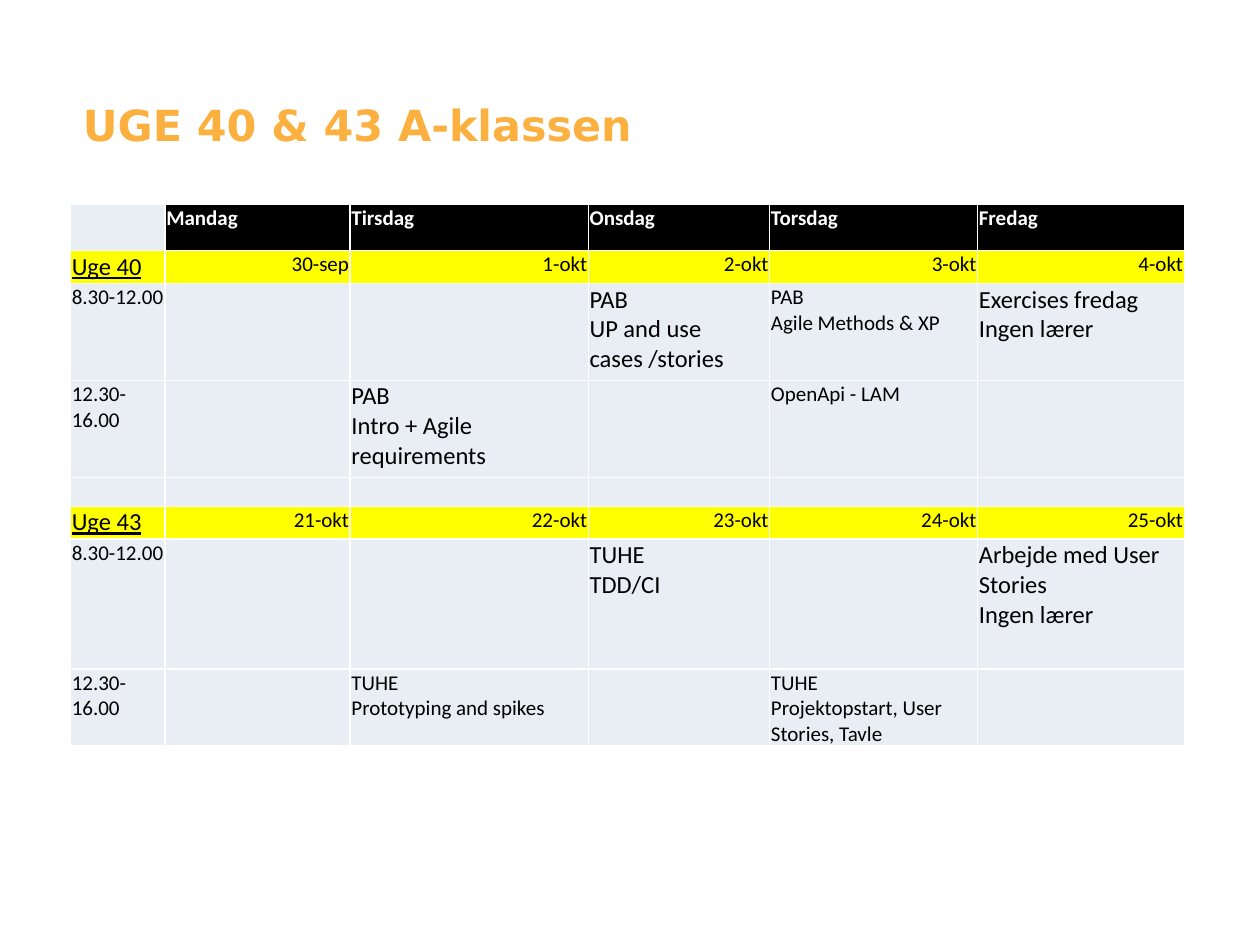
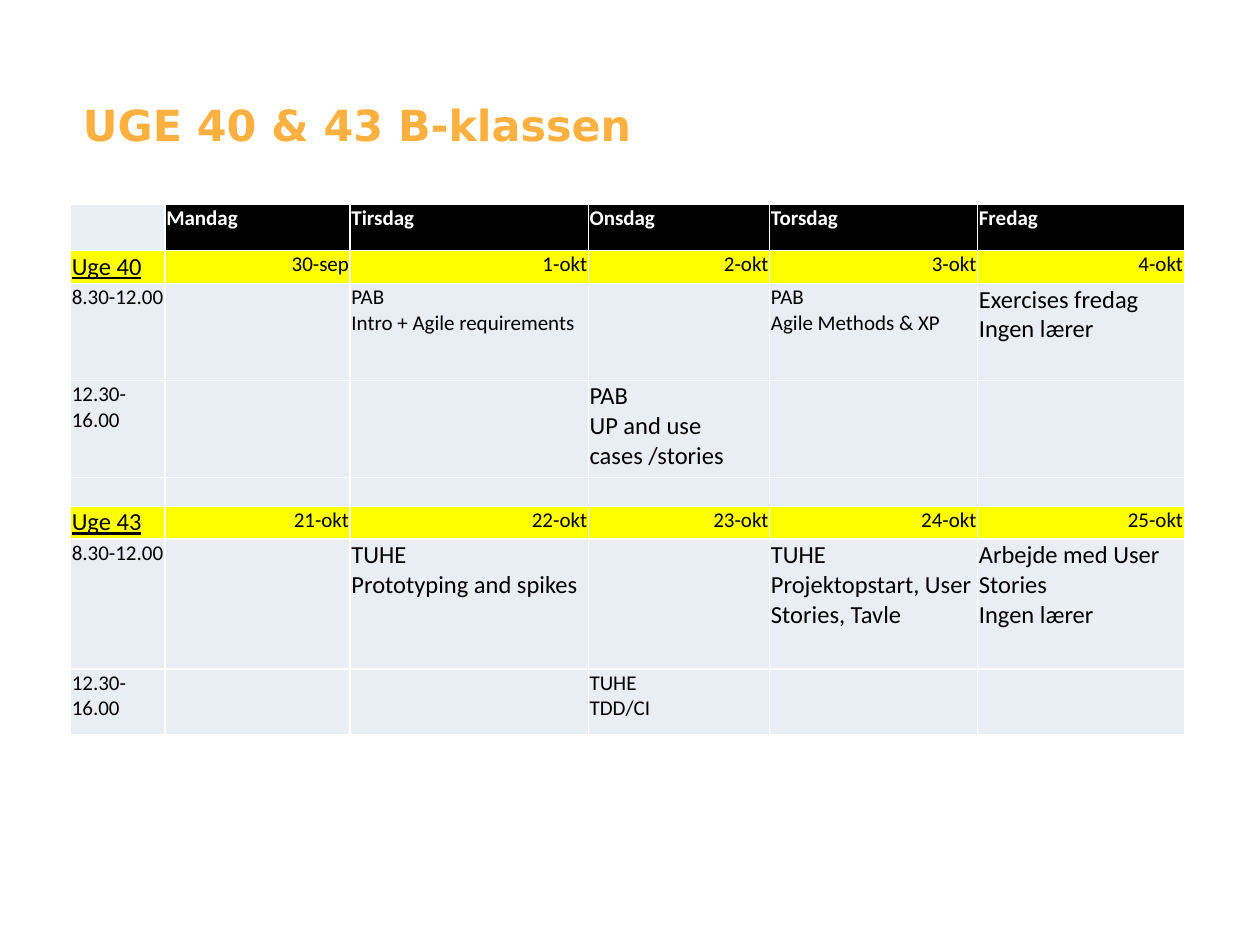
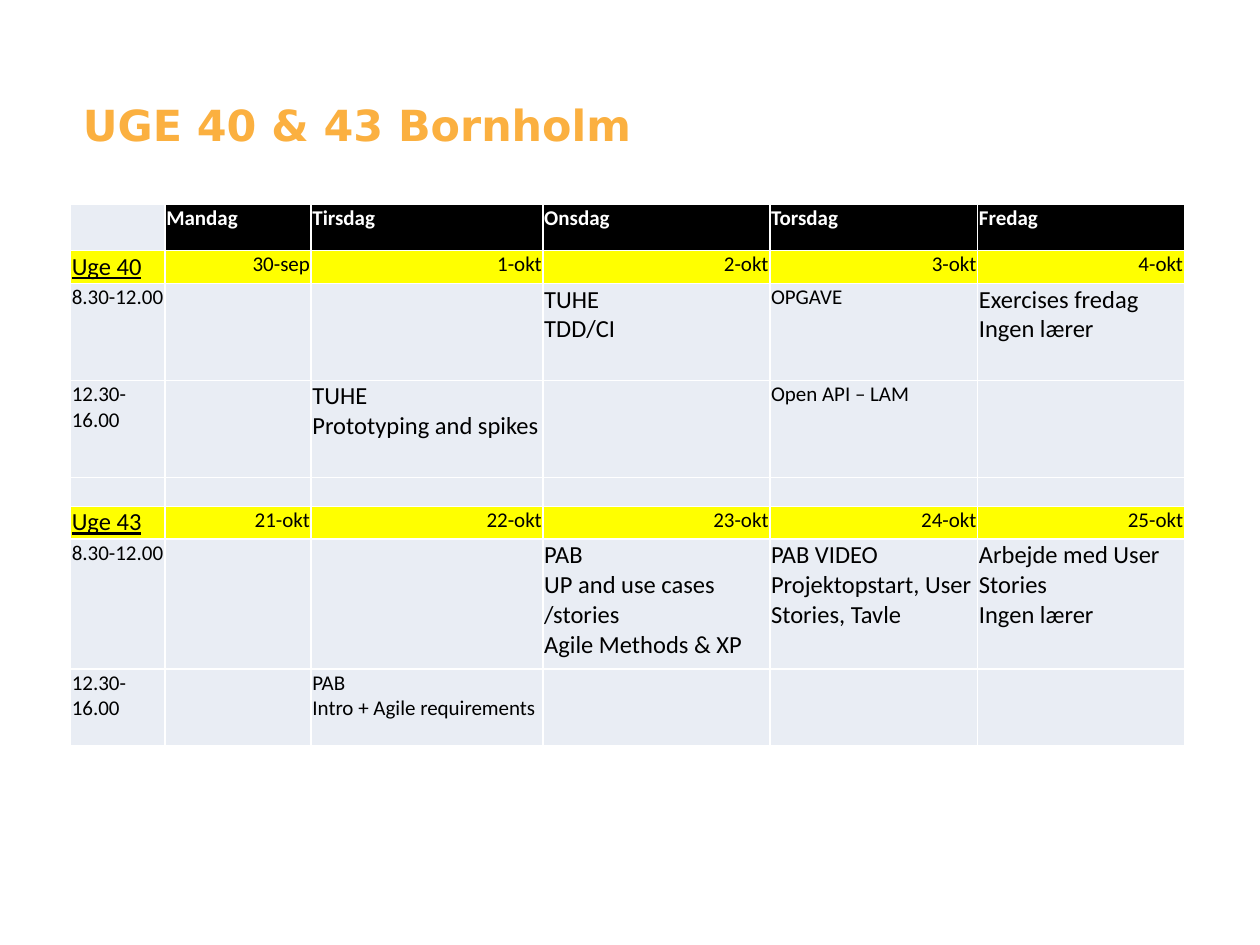
from pptx import Presentation
from pptx.dml.color import RGBColor
from pptx.enum import text
from pptx.util import Inches, Pt

COLORS = {
    "title": "FBB040",
    "header": "000000",
    "header_text": "FFFFFF",
    "dates": "FFFF00",
    "lessons": "E9EDF4",
    "body_text": "000000",
}
TITLE_FONT, TABLE_FONT = "DejaVu Sans", "Calibri"
SMALL, LARGE = 12, 14

LEFT, WIDTH = 0.56, 8.84
TITLE_TOP, TITLE_HEIGHT = 0.73, 1.25
TABLE_TOP = 1.62
ROW_HEIGHTS = [0.37, 0.26, 0.77, 0.77, 0.23, 0.26, 1.03]
CLASS_COLUMNS = [0.75, 1.47, 1.89, 1.44, 1.65, 1.64]
BORNHOLM_COLUMNS = [0.75, 1.16, 1.84, 1.8, 1.65, 1.64]

MORNING, AFTERNOON = "8.30-12.00", "12.30-16.00"
DAYS = ["", "Mandag", "Tirsdag", "Onsdag", "Torsdag", "Fredag"]
WEEKS = {
    40: ["Uge 40", "30-sep", "1-okt", "2-okt", "3-okt", "4-okt"],
    43: ["Uge 43", "21-okt", "22-okt", "23-okt", "24-okt", "25-okt"],
}

INTRO = "PAB\nIntro + Agile requirements"
USE_CASES = "PAB\nUP and use cases /stories"
AGILE = "PAB\nAgile Methods & XP"
TDD = "TUHE\nTDD/CI"
PROTOTYPING = "TUHE\nPrototyping and spikes"
PROJECT_START = "Projektopstart, User Stories, Tavle"

# Lessons by (week, time, day), each with its text size
FRIDAYS = {
    (40, MORNING, "Fredag"): ("Exercises fredag\vIngen lærer", LARGE),
    (43, MORNING, "Fredag"): ("Arbejde med User Stories\vIngen lærer", LARGE),
}
SCHEDULES = [
    ("UGE 40 & 43 A-klassen", CLASS_COLUMNS, 0.61, {
        (40, MORNING, "Onsdag"): (USE_CASES, LARGE),
        (40, MORNING, "Torsdag"): (AGILE, SMALL),
        (40, AFTERNOON, "Tirsdag"): (INTRO, LARGE),
        (40, AFTERNOON, "Torsdag"): ("OpenApi - LAM", SMALL),
        (43, MORNING, "Onsdag"): (TDD, LARGE),
        (43, AFTERNOON, "Tirsdag"): (PROTOTYPING, SMALL),
        (43, AFTERNOON, "Torsdag"): ("TUHE\n" + PROJECT_START, SMALL),
    }),
    ("UGE 40 & 43 B-klassen", CLASS_COLUMNS, 0.52, {
        (40, MORNING, "Tirsdag"): (INTRO, SMALL),
        (40, MORNING, "Torsdag"): (AGILE, SMALL),
        (40, AFTERNOON, "Onsdag"): (USE_CASES, LARGE),
        (43, MORNING, "Tirsdag"): (PROTOTYPING, LARGE),
        (43, MORNING, "Torsdag"): ("TUHE\n" + PROJECT_START, LARGE),
        (43, AFTERNOON, "Onsdag"): (TDD, SMALL),
    }),
    ("UGE 40 & 43 Bornholm", BORNHOLM_COLUMNS, 0.61, {
        (40, MORNING, "Onsdag"): (TDD, LARGE),
        (40, MORNING, "Torsdag"): ("OPGAVE", SMALL),
        (40, AFTERNOON, "Tirsdag"): (PROTOTYPING, LARGE),
        (40, AFTERNOON, "Torsdag"): ("Open API – LAM", SMALL),
        (43, MORNING, "Onsdag"): (USE_CASES + "\nAgile Methods & XP", LARGE),
        (43, MORNING, "Torsdag"): ("PAB VIDEO\n" + PROJECT_START, LARGE),
        (43, AFTERNOON, "Tirsdag"): (INTRO, SMALL),
    }),
]


def style_font(font, name, size, color, bold=False):
    font.name, font.size, font.bold = name, Pt(size), bold
    font.color.rgb = RGBColor.from_string(COLORS[color])


def add_title(slide, title):
    box = slide.shapes.add_textbox(Inches(LEFT), Inches(TITLE_TOP),
                                   Inches(WIDTH), Inches(TITLE_HEIGHT))
    box.text_frame.word_wrap = True
    paragraph = box.text_frame.paragraphs[0]
    paragraph.text = title
    paragraph.space_before = Pt(3)
    style_font(paragraph.font, TITLE_FONT, 24.5, "title", bold=True)


def fill_cell(cell, content, size=SMALL, fill="lessons", color="body_text",
              bold=False, underline=False, align=text.PP_ALIGN.LEFT):
    cell.margin_left = cell.margin_top = cell.margin_right = Inches(0.01)
    cell.margin_bottom = 0
    cell.fill.solid()
    cell.fill.fore_color.rgb = RGBColor.from_string(COLORS[fill])
    cell.text = content
    for paragraph in cell.text_frame.paragraphs:
        paragraph.alignment = align
        style_font(paragraph.font, TABLE_FONT, size, color, bold)
        paragraph.font.underline = underline


def header_row():
    return [dict(content=day, fill="header" if day else "lessons",
                 color="header_text", bold=True) for day in DAYS]


def week_rows(week, lessons):
    """The date row of a week, then its morning and afternoon rows."""
    label, *dates = WEEKS[week]
    yield [dict(content=label, size=LARGE, fill="dates", underline=True)] + [
        dict(content=date, fill="dates", align=text.PP_ALIGN.RIGHT) for date in dates]
    for time in (MORNING, AFTERNOON):
        row = [dict(content=time)]
        for day in DAYS[1:]:
            content, size = lessons.get((week, time, day), ("", SMALL))
            row.append(dict(content=content, size=size))
        yield row


def add_schedule(slide, columns, last_height, lessons):
    heights = ROW_HEIGHTS + [last_height]
    gap_row = [dict(content="") for _ in DAYS]
    rows = [header_row(), *week_rows(40, lessons), gap_row, *week_rows(43, lessons)]
    table = slide.shapes.add_table(len(rows), len(columns), Inches(LEFT), Inches(TABLE_TOP),
                                   Inches(WIDTH), Inches(sum(heights))).table
    table.first_row = table.horz_banding = False
    for column, width in zip(table.columns, columns):
        column.width = Inches(width)
    for table_row, height, row in zip(table.rows, heights, rows):
        table_row.height = Inches(height)
        for cell, look in zip(table_row.cells, row):
            fill_cell(cell, **look)


def main():
    deck = Presentation()
    deck.slide_width, deck.slide_height = Inches(10), Inches(7.5)
    for title, columns, last_height, lessons in SCHEDULES:
        slide = deck.slides.add_slide(deck.slide_layouts[6])
        add_title(slide, title)
        add_schedule(slide, columns, last_height, {**FRIDAYS, **lessons})
    deck.save("out.pptx")


if __name__ == "__main__":
    main()
